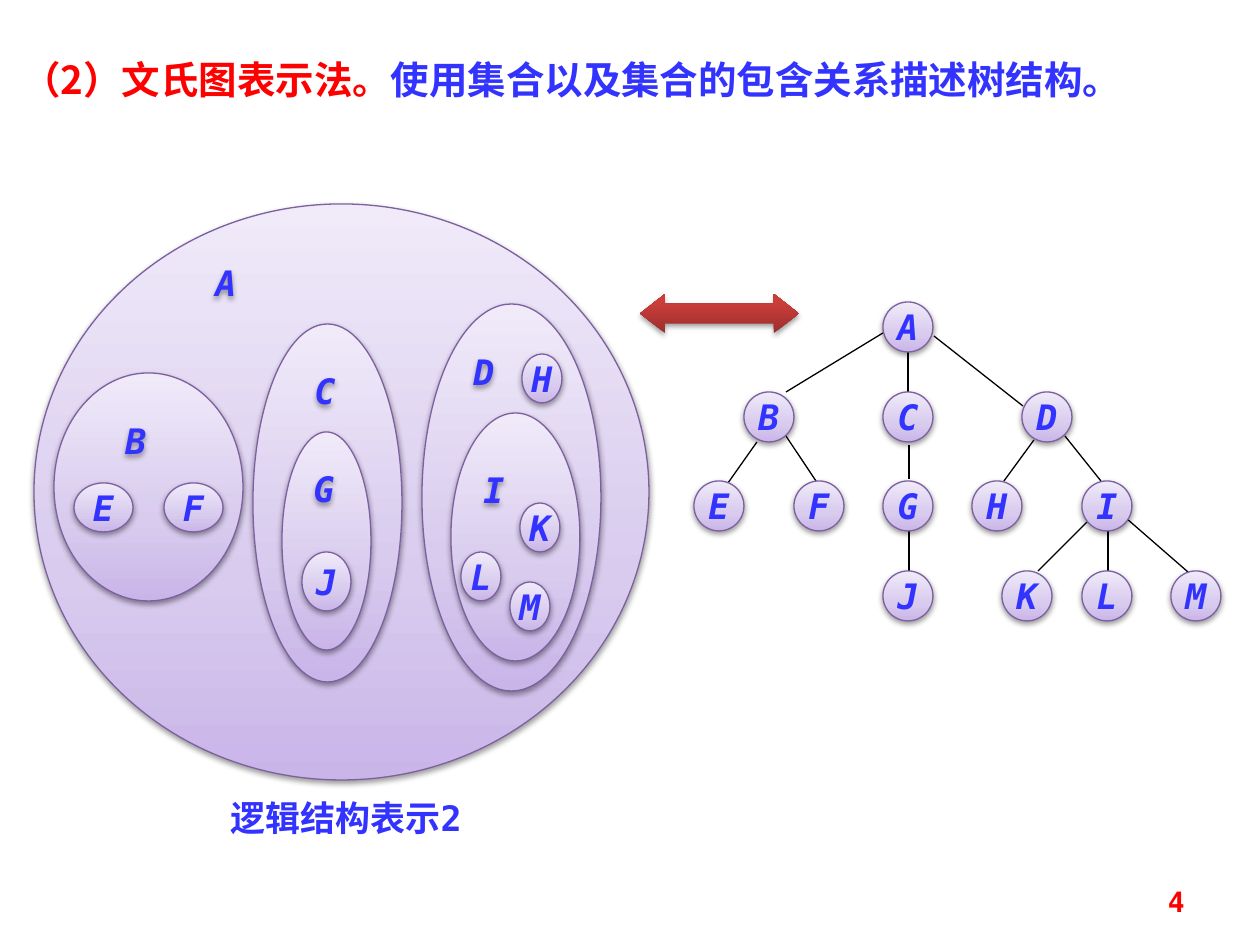
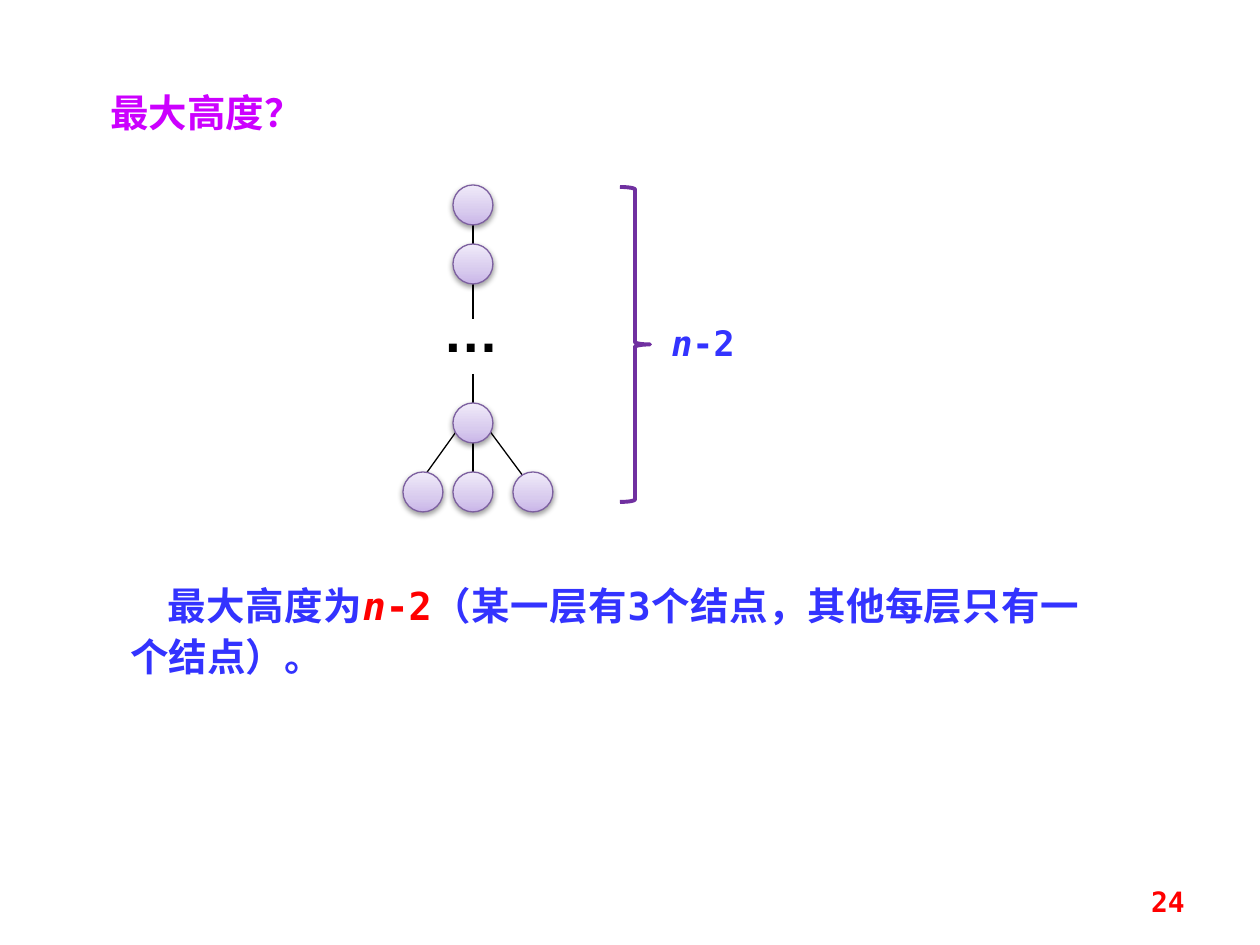
"""Build two slides on trees: Venn diagram notation and the maximum height."""
import pptx
import pptx.dml.color
import pptx.enum.lang
import pptx.enum.shapes
import pptx.enum.text
import pptx.oxml
import pptx.oxml.ns
import pptx.util

PX = 914400 // 126
COLORS = {"blue": "3333FF", "red": "FF0000", "magenta": "CC00FF", "black": "000000",
          "outline": "7D60A0", "brace": "7030A0"}
LILAC = ((0, "C9B5E8"), (35, "D8CBEE"), (100, "F0EAF9"))
CRIMSON = ((0, "9C2F2D"), (80, "CB3E3A"), (100, "CE3B37"))
MONO, HAN = "DejaVu Sans Mono", "Noto Sans CJK SC"
NS = pptx.oxml.ns.nsdecls("a")
SHAPE = pptx.enum.shapes.MSO_SHAPE
ALIGN = pptx.enum.text.PP_ALIGN
ANCHOR = pptx.enum.text.MSO_ANCHOR


def write(shape, runs, size, align=ALIGN.LEFT, font=MONO, east=HAN, spacing=None):
    """Fill a shape with one paragraph of (text, colour, italic) runs."""
    para = shape.text_frame.paragraphs[0]
    para.alignment = align
    para.line_spacing = spacing
    shape.text_frame.word_wrap = True
    for text, color, italic in runs:
        span = para.add_run()
        span.text = text
        span.font.size = pptx.util.Pt(size)
        span.font.bold = True
        span.font.italic = italic
        span.font.name = font
        span.font.language_id = pptx.enum.lang.MSO_LANGUAGE_ID.SIMPLIFIED_CHINESE
        span.font.color.rgb = pptx.dml.color.RGBColor.from_string(COLORS[color])
        span.font._element.find(pptx.oxml.ns.qn("a:latin")).addnext(
            pptx.oxml.parse_xml(f'<a:ea {NS} typeface="{east}"/>'))
    return para


def shade(shape, stops=()):
    """Give a shape a vertical gradient, if any, and a soft shadow below."""
    shape.shadow.inherit = False
    properties = shape._element.spPr
    if stops:
        marks = "".join(f'<a:gs pos="{at * 1000}"><a:srgbClr val="{color}"/></a:gs>'
                        for at, color in stops)
        properties.find(pptx.oxml.ns.qn("a:prstGeom")).addnext(pptx.oxml.parse_xml(
            f'<a:gradFill {NS} rotWithShape="1"><a:gsLst>{marks}</a:gsLst>'
            '<a:lin ang="16200000" scaled="0"/></a:gradFill>'))
    properties.find(pptx.oxml.ns.qn("a:effectLst")).append(pptx.oxml.parse_xml(
        f'<a:outerShdw {NS} blurRad="40000" dist="20000" dir="5400000" rotWithShape="0">'
        '<a:srgbClr val="000000"><a:alpha val="38000"/></a:srgbClr></a:outerShdw>'))


deck = pptx.Presentation()
deck.slide_width, deck.slide_height = pptx.util.Inches(10), pptx.util.Inches(7.5)
venn_page, height_page = [deck.slides.add_slide(deck.slide_layouts[6]) for _ in range(2)]

venn_sets = [
    ("", 34, 204, 615, 576),
    ("", 54, 373, 189, 228), ("E", 74, 483, 59, 49), ("F", 164, 483, 59, 49),
    ("", 253, 324, 149, 358), ("", 282, 432, 89, 218), ("J", 302, 552, 49, 59),
    ("", 422, 304, 179, 387), ("", 451, 413, 129, 248),
    ("H", 522, 354, 40, 49), ("K", 520, 503, 40, 49),
    ("L", 461, 552, 40, 49), ("M", 510, 582, 40, 49),
]
tree_rows = {
    302: {"A": 883},
    392: {"B": 744, "C": 883, "D": 1022},
    481: {"E": 694, "F": 794, "G": 883, "H": 972, "I": 1082},
    571: {"J": 883, "K": 1002, "L": 1082, "M": 1171},
}
tree_nodes = [(letter, left, top, 50, 50)
              for top, row in tree_rows.items() for letter, left in row.items()]
tree_edges = [
    (883, 333, 786, 392), (908, 352, 908, 392), (934, 336, 1023, 406),
    (757, 442, 728, 483), (786, 436, 816, 481), (909, 445, 909, 479),
    (1034, 440, 1004, 481), (1065, 436, 1101, 481), (909, 530, 909, 571),
    (1087, 522, 1038, 571), (1108, 530, 1108, 571), (1126, 518, 1188, 572),
]
chain_nodes = [("", left, top, 40, 40) for left, top in
               ((453, 185), (453, 244), (453, 403), (403, 472), (453, 472), (513, 472))]
chain_edges = [(473, top, 473, bottom) for top, bottom in
               ((214, 255), (278, 319), (374, 413), (432, 483))]
chain_edges += [(466, 418, 423, 478), (483, 422, 529, 484)]

for page, number, edges, nodes in (
        (venn_page, "4", tree_edges, venn_sets + tree_nodes),
        (height_page, "24", chain_edges, chain_nodes)):
    for edge in edges:
        line = page.shapes.add_connector(
            pptx.enum.shapes.MSO_CONNECTOR.STRAIGHT, *[value * PX for value in edge])
        line.line.width = pptx.util.Pt(0.75)
        line.line.color.rgb = pptx.dml.color.RGBColor.from_string(COLORS["black"])
        line._element.spPr.append(pptx.oxml.parse_xml(f"<a:effectLst {NS}/>"))
    for letter, *place in nodes:
        node = page.shapes.add_shape(SHAPE.OVAL, *[value * PX for value in place])
        node.line.width = pptx.util.Pt(0.75)
        node.line.color.rgb = pptx.dml.color.RGBColor.from_string(COLORS["outline"])
        shade(node, LILAC)
        if letter:
            frame = node.text_frame
            frame.margin_left = frame.margin_right = frame.margin_top = frame.margin_bottom = 0
            frame.vertical_anchor = ANCHOR.MIDDLE
            write(node, [(letter, "blue", True)], 20, ALIGN.CENTER)
            frame.word_wrap = False
    box = page.shapes.add_textbox(903 * PX, 876 * PX, 294 * PX, 50 * PX)
    box.text_frame.vertical_anchor = ANCHOR.MIDDLE
    write(box, [(number, "red", False)], 16, ALIGN.RIGHT)

for letter, left, top in (("A", 203, 255), ("B", 113, 413), ("C", 302, 363),
                          ("G", 301, 461), ("D", 461, 344), ("I", 471, 462)):
    box = venn_page.shapes.add_textbox(left * PX, top * PX, 50 * PX, 54 * PX)
    shade(box)
    write(box, [(letter, "blue", True)], 20)

arrow = venn_page.shapes.add_shape(
    SHAPE.LEFT_RIGHT_ARROW, 640 * PX, 294 * PX, 159 * PX, 39 * PX)
arrow.adjustments[0], arrow.adjustments[1] = 0.5, 0.64
arrow.line.fill.background()
shade(arrow, CRIMSON)

title = venn_page.shapes.add_textbox(10 * PX, 45 * PX, 1250 * PX, 60 * PX)
write(title, [("（2）文氏图表示法。", "red", False),
              ("使用集合以及集合的包含关系描述树结构。", "blue", False)],
      22, ALIGN.JUSTIFY, HAN, spacing=1.1)
caption = venn_page.shapes.add_textbox(123 * PX, 790 * PX, 446 * PX, 55 * PX)
write(caption, [("逻辑结构表示2", "blue", False)], 20, ALIGN.CENTER)

question = height_page.shapes.add_textbox(98 * PX, 78 * PX, 339 * PX, 64 * PX)
write(question, [("最大高度？", "magenta", False)], 22, ALIGN.JUSTIFY, spacing=1.1)

dots = height_page.shapes.add_textbox(443 * PX, 297 * PX, 79 * PX, 67 * PX)
frame = dots.text_frame
frame.margin_left = frame.margin_right = frame.margin_top = frame.margin_bottom = 0
write(dots, [("…", "black", False)], 32, font="Arial", east="Arial")

brace = height_page.shapes.add_shape(
    SHAPE.RIGHT_BRACE, 620 * PX, 187 * PX, 30 * PX, 315 * PX)
brace.shadow.inherit = False
brace.fill.background()
brace.line.width = pptx.util.Pt(2.25)
brace.line.color.rgb = pptx.dml.color.RGBColor.from_string(COLORS["brace"])
height = height_page.shapes.add_textbox(659 * PX, 315 * PX, 98 * PX, 55 * PX)
write(height, [("n", "blue", True), ("-2", "blue", False)], 20)

answer = height_page.shapes.add_textbox(118 * PX, 571 * PX, 974 * PX, 116 * PX)
para = write(answer, [("最大高度为", "blue", False), ("n", "red", True), ("-2", "red", False),
                      ("（某一层有3个结点，其他每层只有一个结点）。", "blue", False)],
             22, ALIGN.JUSTIFY, spacing=1.1)
para._p.get_or_add_pPr().set("indent", str(37 * PX))

deck.save("out.pptx")
